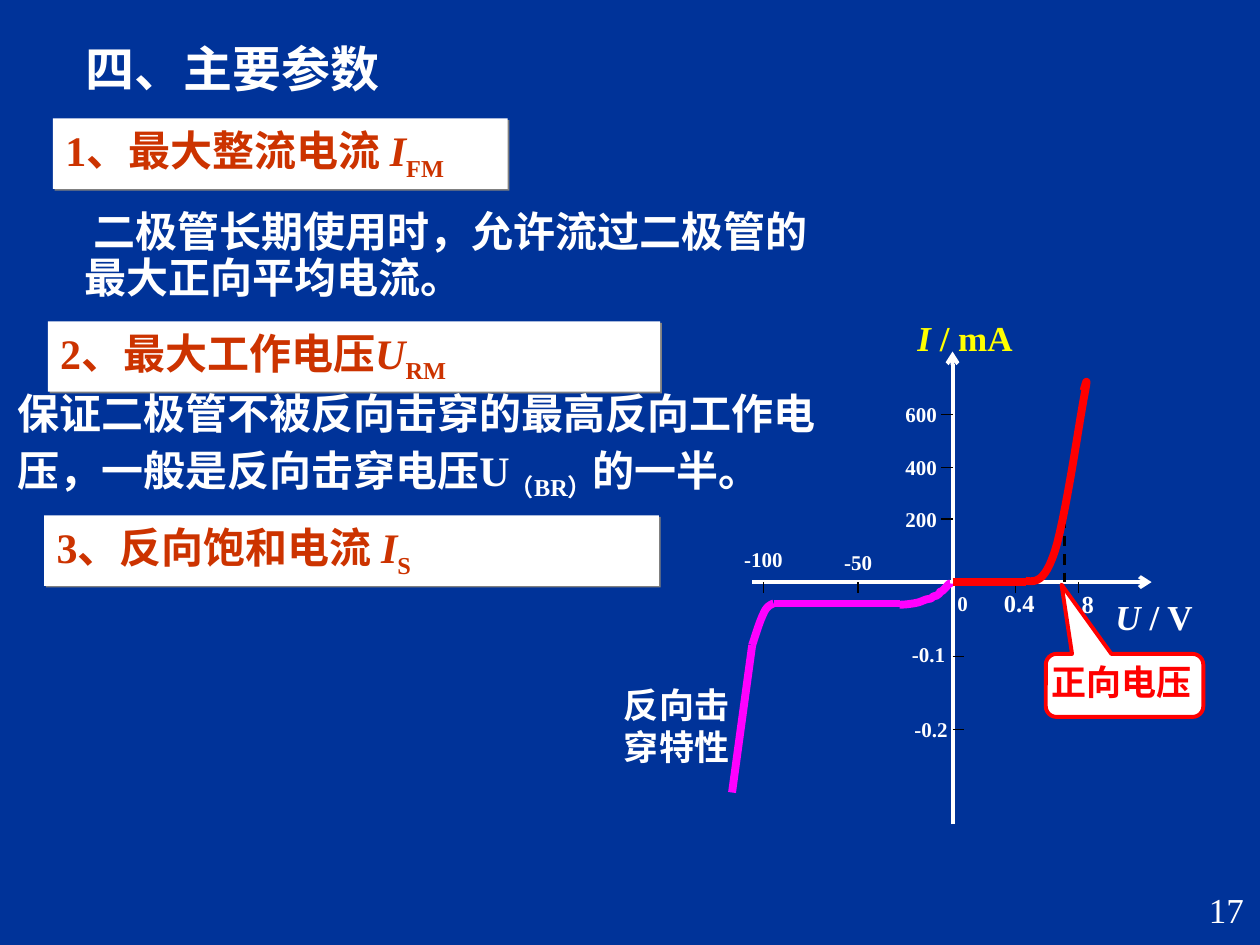
from dataclasses import dataclass

from lxml.etree import SubElement
from pptx import Presentation
from pptx.dml.color import RGBColor
from pptx.enum.dml import MSO_LINE
from pptx.enum.shapes import MSO_CONNECTOR, MSO_SHAPE
from pptx.enum.text import MSO_ANCHOR, MSO_AUTO_SIZE, PP_ALIGN
from pptx.oxml.ns import qn
from pptx.util import Inches, Pt


@dataclass(frozen=True)
class Theme:
    font: str = "Times New Roman"
    back: str = "003399"
    white: str = "FFFFFF"
    black: str = "000000"
    rust: str = "CC3300"
    yellow: str = "FFFF00"
    red: str = "FF0000"
    magenta: str = "FF00FF"
    shade: str = "808080"
    title: float = 28
    body: float = 24
    note: float = 20
    tick_large: float = 14
    tick: float = 12
    curve: float = 4.5
    axis: float = 2.25
    dash: float = 1.5
    thin: float = 0.75


T = Theme()


@dataclass(frozen=True)
class Run:
    text: str
    italic: bool = False
    sub: bool = False


@dataclass(frozen=True)
class Box:
    x: float
    y: float
    w: float
    h: float


@dataclass(frozen=True)
class Heading:
    box: Box
    name: str
    symbol: str
    index: str


@dataclass(frozen=True)
class Label:
    text: str
    x: float
    y: float
    w: float = 0.45
    h: float = 0.3
    size: float = T.tick


@dataclass(frozen=True)
class Curve:
    start: tuple
    beziers: tuple
    color: str


LEFT, CENTER, RIGHT = PP_ALIGN.LEFT, PP_ALIGN.CENTER, PP_ALIGN.RIGHT
X0, Y0 = 7.56, 4.62
Y_TICKS = (3.29, 3.71, 4.12)
X_TICKS = (6.06, 6.81, 8.06, 8.56)
LOW_TICKS = (5.21, 5.79)

HEADINGS = (
    Heading(Box(0.42, 0.94, 3.61, 0.56), "1、最大整流电流 ", "I", "FM"),
    Heading(Box(0.35, 4.09, 4.88, 0.56), "3、反向饱和电流 ", "I", "S"),
    Heading(Box(0.38, 2.55, 4.86, 0.56), "2、最大工作电压", "U", "RM"),
)
LABELS = (
    *(Label(text, 7.31, y) for text, y in zip(("600", "400", "200"), Y_TICKS)),
    Label("-0.1", 7.37, 5.19, 0.46),
    Label("-0.2", 7.39, 5.79, 0.46),
    Label("0", 7.64, 4.79, 0.28),
    Label("0.4", 8.09, 4.78, 0.44, 0.34, T.tick_large),
    Label("0.8", 8.56, 4.79, 0.44, 0.34, T.tick_large),
    Label("-50", 6.81, 4.46, 0.42),
    Label("-100", 6.06, 4.44, 0.5),
)
LEAKAGE = Curve((7.14, 4.8), (
    ((7.18, 4.8), (7.28, 4.79), (7.32, 4.77)),
    ((7.37, 4.75), (7.35, 4.76), (7.39, 4.75)),
    ((7.4, 4.74), (7.41, 4.73), (7.43, 4.73)),
    ((7.49, 4.69), (7.43, 4.71), (7.48, 4.69)),
    ((7.49, 4.68), (7.5, 4.67), (7.51, 4.66)),
    ((7.54, 4.62), (7.54, 4.64), (7.54, 4.63)),
), T.magenta)
KNEE = Curve((6.14, 4.79), (
    ((6.11, 4.8), (6.08, 4.82), (6.06, 4.87)),
    ((6.03, 4.93), (6, 5.03), (5.97, 5.12)),
), T.magenta)
FORWARD = Curve((8.14, 4.61), (
    ((8.22, 4.62), (8.29, 4.62), (8.37, 4.38)),
    ((8.45, 4.14), (8.56, 3.39), (8.6, 3.17)),
    ((8.64, 2.96), (8.62, 3.03), (8.6, 3.1)),
), T.red)


def rgb(color: str) -> RGBColor:
    return RGBColor.from_string(color)


def place(sp, box: Box) -> None:
    sp.left, sp.top = Inches(box.x), Inches(box.y)
    sp.width, sp.height = Inches(box.w), Inches(box.h)


def write(sp, lines, size, color, align=LEFT, anchor=MSO_ANCHOR.MIDDLE,
          bold=True, wrap=True, spacing=None) -> None:
    tf = sp.text_frame
    tf.auto_size = MSO_AUTO_SIZE.NONE
    tf.word_wrap, tf.vertical_anchor = wrap, anchor
    for i, runs in enumerate(lines):
        p = tf.add_paragraph() if i else tf.paragraphs[0]
        p.alignment = align
        p._p.get_or_add_pPr().set("hangingPunct", "0")
        if spacing:
            p.line_spacing = spacing
        for run in runs:
            r = p.add_run()
            r.text = run.text
            r.font.name, r.font.size = T.font, Pt(size)
            r.font.bold, r.font.italic = bold, run.italic
            r.font.color.rgb = rgb(color)
            if run.sub:
                r.font._element.set("baseline", "-25000")


def add_text(s, box: Box, lines, size, color, **style) -> None:
    sp = s.shapes.add_textbox(0, 0, 0, 0)
    place(sp, box)
    write(sp, lines, size, color, **style)


def add_block(s, kind, box: Box, fill: str):
    sp = s.shapes.add_shape(kind, 0, 0, 0, 0)
    place(sp, box)
    sp.shadow.inherit = False
    sp.fill.solid()
    sp.fill.fore_color.rgb = rgb(fill)
    sp.line.fill.background()
    return sp


def add_heading(s, heading: Heading) -> None:
    sp = add_block(s, MSO_SHAPE.RECTANGLE, heading.box, T.white)
    effects = sp._element.spPr.find(qn("a:effectLst"))
    shadow = SubElement(effects, qn("a:outerShdw"), dist=str(Pt(1.4)), dir="2700000",
                        algn="ctr", rotWithShape="0")
    SubElement(shadow, qn("a:srgbClr"), val=T.shade)
    runs = [Run(heading.name), Run(heading.symbol, italic=True), Run(heading.index, sub=True)]
    write(sp, [runs], T.body, T.rust, anchor=MSO_ANCHOR.TOP)


def add_line(s, start, end, color=T.black, width=T.thin, dash=None, arrow=False) -> None:
    c = s.shapes.add_connector(MSO_CONNECTOR.STRAIGHT, *map(Inches, (*start, *end)))
    c.line.color.rgb, c.line.width = rgb(color), Pt(width)
    if dash:
        c.line.dash_style = dash
    if arrow:
        SubElement(c.line._get_or_add_ln(), qn("a:tailEnd"), type="arrow")
    SubElement(c._element.spPr, qn("a:effectLst"))


def bezier(points, t: float) -> tuple:
    weights = ((1 - t) ** 3, 3 * t * (1 - t) ** 2, 3 * t * t * (1 - t), t ** 3)
    return tuple(Inches(sum(w * p[k] for w, p in zip(weights, points))) for k in (0, 1))


def add_curve(s, curve: Curve, steps: int = 12) -> None:
    points, start = [], curve.start
    for controls in curve.beziers:
        points += [bezier((start, *controls), i / steps) for i in range(1, steps + 1)]
        start = controls[-1]
    fb = s.shapes.build_freeform(*map(Inches, curve.start))
    fb.add_line_segments(points, close=False)
    sp = fb.convert_to_shape()
    sp.shadow.inherit = False
    sp.fill.background()
    sp.line.color.rgb, sp.line.width = rgb(curve.color), Pt(T.curve)


def add_parameters(s) -> None:
    for heading in HEADINGS:
        add_heading(s, heading)
    add_text(s, Box(0.57, 1.63, 6.02, 0.82),
             [[Run(" 二极管长期使用时，允许流过二极管的最大正向平均电流。")]],
             T.body, T.white, anchor=MSO_ANCHOR.TOP, spacing=0.9)
    add_text(s, Box(0.04, 2.99, 7.18, 1.04),
             [[Run("保证二极管不被反向击穿的最高反向工作电压，一般是反向击穿电压U"),
               Run("（BR）", sub=True), Run("的一半。")]],
             T.body, T.white, anchor=MSO_ANCHOR.TOP, spacing=1.1)


def add_characteristic(s) -> None:
    add_line(s, (5.97, Y0), (9.14, Y0), T.white, T.axis, arrow=True)
    add_line(s, (X0, 6.54), (X0, 2.79), T.white, T.axis, arrow=True)
    add_line(s, (6.14, 4.79), (7.14, 4.79), T.magenta, T.curve)
    add_curve(s, LEAKAGE)
    add_curve(s, KNEE)
    add_line(s, (5.97, 5.12), (5.81, 6.29), T.magenta, T.curve)
    for y in Y_TICKS:
        add_line(s, (X0 - 0.09, y), (X0, y))
    for y in LOW_TICKS:
        add_line(s, (X0, y), (X0 + 0.09, y))
    for x in X_TICKS:
        add_line(s, (x, Y0), (x, Y0 + 0.09))
    for n in LABELS:
        add_text(s, Box(n.x - n.w / 2, n.y - n.h / 2, n.w, n.h), [[Run(n.text)]],
                 n.size, T.white, align=CENTER, wrap=False)
    add_text(s, Box(7.18, 2.46, 0.96, 0.44), [[Run("I ", italic=True), Run("/ mA")]],
             T.note, T.yellow, align=CENTER, wrap=False)
    add_text(s, Box(8.75, 4.67, 0.82, 0.44), [[Run("U", italic=True), Run(" / V")]],
             T.note, T.white, align=CENTER, wrap=False)
    add_line(s, (8.45, 3.96), (8.45, Y0), width=T.dash, dash=MSO_LINE.DASH)
    add_text(s, Box(4.81, 5.37, 1.12, 0.77), [[Run("反向击")], [Run("穿特性")]],
             T.note, T.white, align=CENTER)
    add_curve(s, FORWARD)
    add_line(s, (X0, Y0), (8.14, Y0), T.red, T.curve)
    callout = add_block(s, MSO_SHAPE.ROUNDED_RECTANGULAR_CALLOUT,
                        Box(8.3, 5.19, 1.25, 0.5), T.white)
    callout.line.color.rgb, callout.line.width = rgb(T.red), Pt(T.axis)
    for i, value in enumerate((-0.4, -1.6, 0.17)):
        callout.adjustments[i] = value
    add_text(s, Box(8.18, 5.19, 1.44, 0.44), [[Run("正向电压")]], T.note, T.red, align=CENTER)


def main() -> None:
    prs = Presentation()
    prs.slide_width, prs.slide_height = Inches(10), Inches(7.5)
    s = prs.slides.add_slide(prs.slide_layouts[5])
    s.background.fill.solid()
    s.background.fill.fore_color.rgb = rgb(T.back)
    title = s.shapes.title
    place(title, Box(0.58, 0.25, 3.92, 0.57))
    write(title, [[Run("四、主要参数")]], T.title, T.white)
    add_parameters(s)
    add_characteristic(s)
    add_text(s, Box(7.89, 7, 2.08, 0.5), [[Run("17")]], T.note, T.white,
             align=RIGHT, anchor=MSO_ANCHOR.TOP, bold=False)
    prs.save("out.pptx")


if __name__ == "__main__":
    main()
